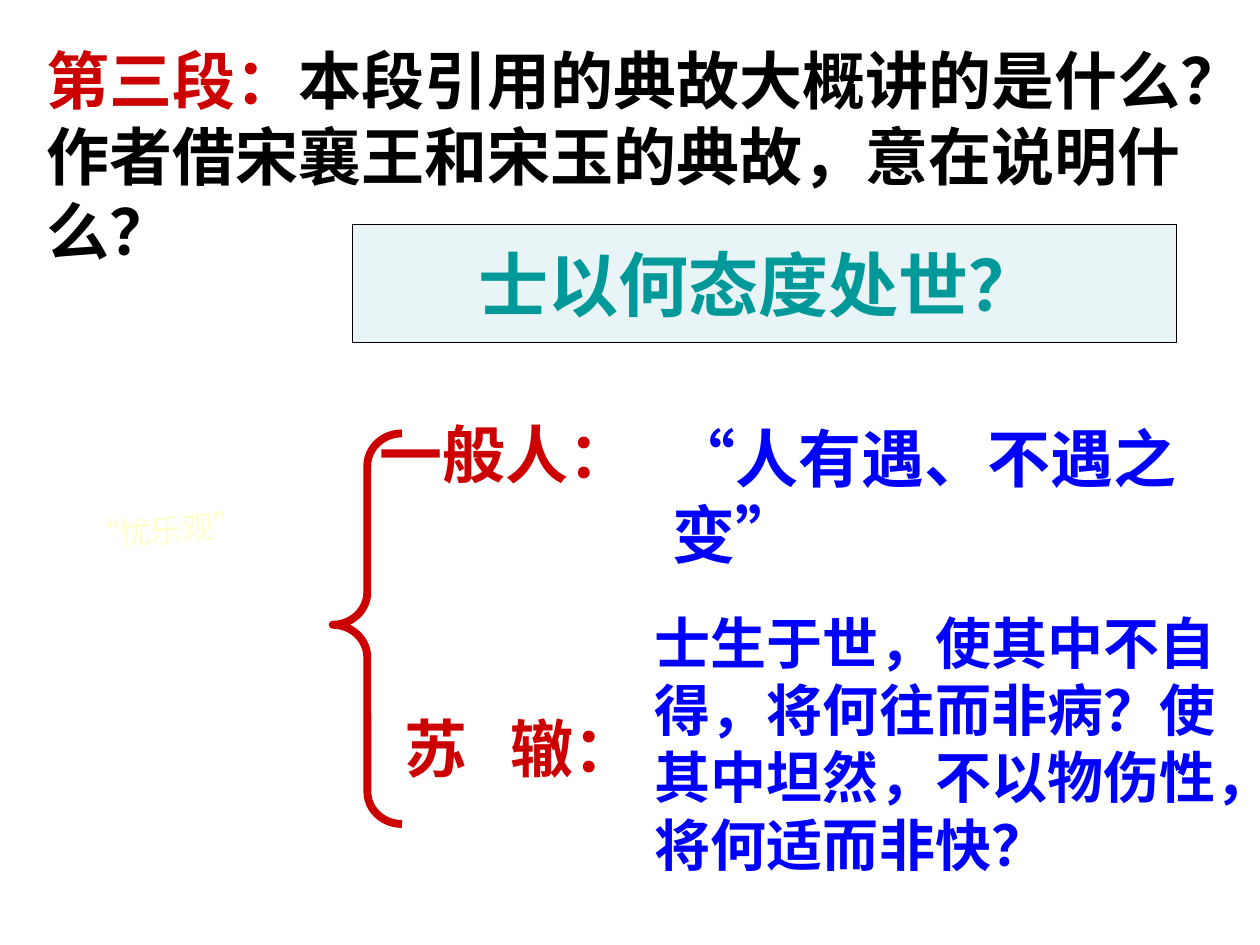
from lxml import etree
from pptx import Presentation
from pptx import util as u
from pptx.dml.color import RGBColor
from pptx.enum import shapes, text
from pptx.oxml.ns import qn

RED = RGBColor(0xCC, 0x00, 0x00)
BLUE = RGBColor(0x00, 0x00, 0xFF)
BLACK = RGBColor(0x00, 0x00, 0x00)
TEAL = RGBColor(0x00, 0x99, 0x99)
PALE_BLUE = RGBColor(0xBB, 0xE0, 0xE3)
PALE_YELLOW = RGBColor(0xFF, 0xFF, 0xCC)
LATIN_FONT = "Arial"
CHINESE_FONT = "Noto Sans CJK SC"


class SlideBuilder:
    def __init__(self, slide):
        self.slide = slide

    def style(self, paragraph, size, color=None, bold=True, name=LATIN_FONT,
              align=text.PP_ALIGN.LEFT):
        paragraph.alignment = align
        font = paragraph.font
        font.name, font.size, font.bold = name, u.Pt(size), bold
        if color is not None:
            font.color.rgb = color
        properties = paragraph._p.pPr.find(qn("a:defRPr"))
        etree.SubElement(properties, qn("a:ea"), typeface=CHINESE_FONT)

    def title(self, box, runs, size):
        shape = self.slide.shapes.title
        shape.left, shape.top, shape.width, shape.height = map(u.Inches, box)
        frame = shape.text_frame
        frame.vertical_anchor = text.MSO_ANCHOR.TOP
        frame.auto_size = text.MSO_AUTO_SIZE.NONE
        paragraph = frame.paragraphs[0]
        for words, color in runs:
            run = paragraph.add_run()
            run.text = words
            run.font.color.rgb = color
        self.style(paragraph, size)

    def label(self, box, words, size, color, bold=True, tab=None, rotation=0):
        shape = self.slide.shapes.add_textbox(*map(u.Inches, box))
        shape.rotation = rotation
        shape.text_frame.word_wrap = True
        paragraph = shape.text_frame.paragraphs[0]
        paragraph.add_run().text = words
        if tab:
            stops = etree.SubElement(paragraph._p.get_or_add_pPr(), qn("a:tabLst"))
            etree.SubElement(stops, qn("a:tab"), pos=str(u.Inches(tab)), algn="l")
        self.style(paragraph, size, color, bold)

    def brace(self, box, color, width):
        shape = self.slide.shapes.add_shape(
            shapes.MSO_SHAPE.LEFT_BRACE, *map(u.Inches, box))
        shape.shadow.inherit = False
        shape.adjustments[0], shape.adjustments[1] = 0.47, 0.49
        shape.fill.background()
        shape.line.color.rgb = color
        shape.line.width = u.Pt(width)

    def banner(self, box, words, size, color, fill, opacity):
        shape = self.slide.shapes.add_shape(
            shapes.MSO_SHAPE.RECTANGLE, *map(u.Inches, box))
        shape.shadow.inherit = False
        shape.fill.solid()
        shape.fill.fore_color.rgb = fill
        fill_color = shape._element.spPr.find(qn("a:solidFill"))[0]
        etree.SubElement(fill_color, qn("a:alpha"), val=str(opacity * 1000))
        shape.line.color.rgb = BLACK
        shape.line.width = u.Pt(0.75)
        frame = shape.text_frame
        frame.vertical_anchor = text.MSO_ANCHOR.MIDDLE
        frame.margin_right = u.Inches(0.2)
        paragraph = frame.paragraphs[0]
        paragraph.add_run().text = words
        self.style(paragraph, size, color, name=CHINESE_FONT,
                   align=text.PP_ALIGN.CENTER)


def main():
    presentation = Presentation()
    presentation.slide_width = u.Inches(10)
    presentation.slide_height = u.Inches(7.5)
    title_only = presentation.slide_layouts[5]
    builder = SlideBuilder(presentation.slides.add_slide(title_only))

    builder.title((0.27, 0.28, 9.61, 1.9), [
        ("第三段：", RED),
        ("本段引用的典故大概讲的是什么？作者借宋襄王和宋玉的典故，意在说明什么？", BLACK),
    ], 36)
    builder.label((0.6, 4, 1.54, 0.4), "“忧乐观”", 18, PALE_YELLOW,
                  bold=False, rotation=-4)
    builder.brace((2.64, 3.44, 0.55, 3.1), RED, 4.5)
    builder.label((2.91, 3.25, 6.89, 0.7), "一般人：", 36, RED)
    builder.label((3.11, 5.58, 6.5, 0.7), "苏\t辙：", 36, RED, tab=0.84)
    builder.label((5.24, 3.28, 4.76, 1.3), "“人有遇、不遇之变”", 36, BLUE)
    builder.label((5.1, 4.78, 4.76, 2.24),
                  "士生于世，使其中不自得，将何往而非病？使其中坦然，不以物伤性，将何适而非快？",
                  32, BLUE)
    builder.banner((2.8, 1.78, 6.54, 0.94), "士以何态度处世？", 40, TEAL,
                   PALE_BLUE, opacity=33)
    presentation.save("out.pptx")


if __name__ == "__main__":
    main()
